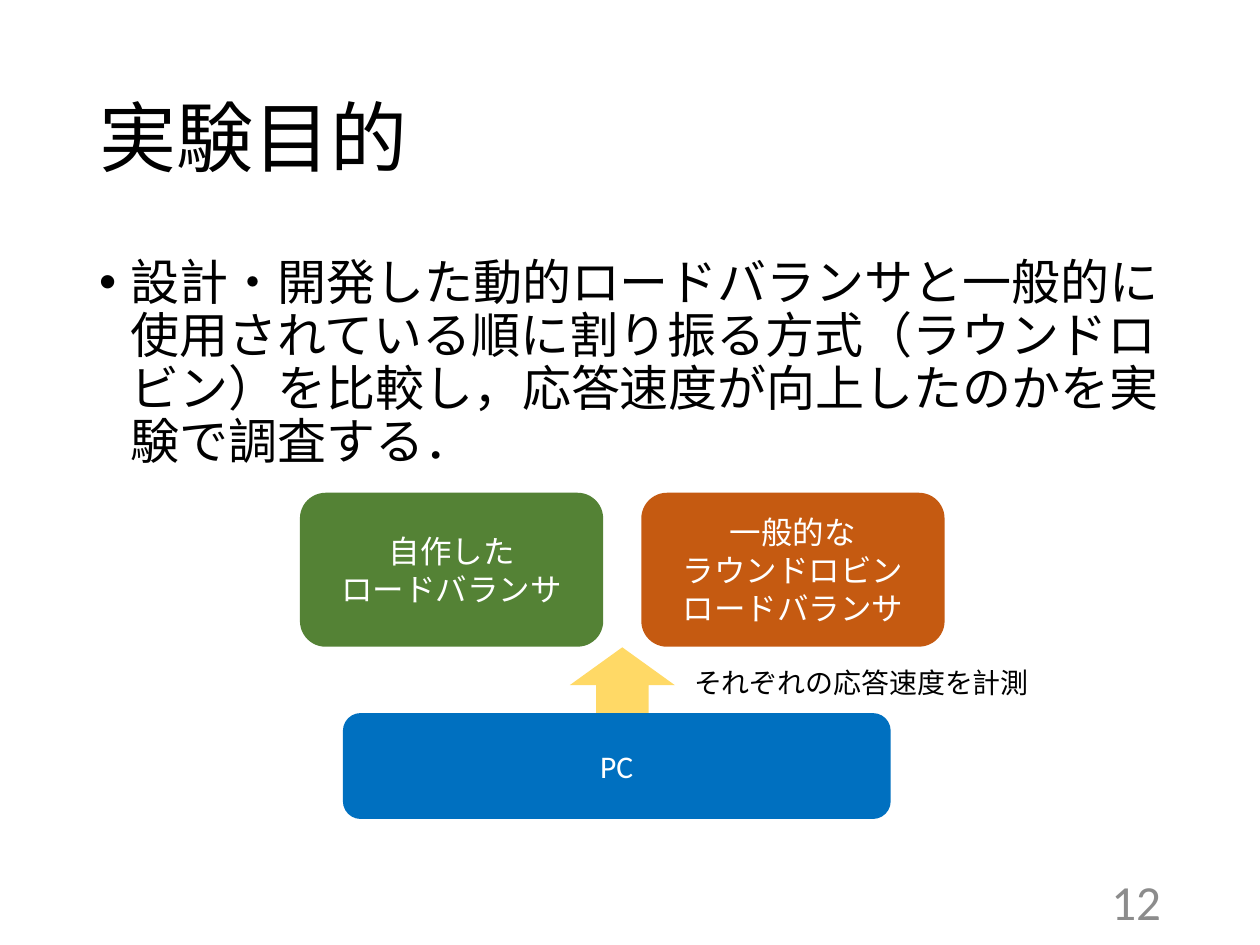
from dataclasses import dataclass

from pptx import Presentation
from pptx.dml.color import RGBColor
from pptx.enum import shapes, text
from pptx.oxml import parse_xml
from pptx.oxml.ns import nsdecls
from pptx.util import Pt

BLACK = RGBColor(0x00, 0x00, 0x00)
WHITE = RGBColor(0xFF, 0xFF, 0xFF)
GRAY = RGBColor(0x8C, 0x8C, 0x8C)
GREEN = RGBColor(0x54, 0x82, 0x35)
ORANGE = RGBColor(0xC5, 0x5A, 0x11)
BLUE = RGBColor(0x00, 0x70, 0xC0)
YELLOW = RGBColor(0xFF, 0xD9, 0x66)

FONT = "Calibri"
LEFT, CENTER, RIGHT = text.PP_ALIGN.LEFT, text.PP_ALIGN.CENTER, text.PP_ALIGN.RIGHT
TOP, MIDDLE = text.MSO_ANCHOR.TOP, text.MSO_ANCHOR.MIDDLE


@dataclass(frozen=True)
class Box:
    left: float
    top: float
    width: float
    height: float

    def lengths(self) -> tuple:
        return Pt(self.left), Pt(self.top), Pt(self.width), Pt(self.height)


@dataclass(frozen=True)
class Node:
    label: str
    box: Box
    color: RGBColor


MARGIN, CONTENT_WIDTH = 49.5, 621
BALANCER_LEFT, BALANCER_TOP, BALANCER_PITCH = 171.4, 281.6, 195.1
BALANCER_SIZE = (173.3, 88)

BALANCERS = [
    ("自作した\nロードバランサ", GREEN),
    ("一般的な\nラウンドロビン\nロードバランサ", ORANGE),
]
NODES = [
    Node(label, Box(BALANCER_LEFT + i * BALANCER_PITCH, BALANCER_TOP, *BALANCER_SIZE), color)
    for i, (label, color) in enumerate(BALANCERS)
] + [Node("PC", Box(196, 407.5, 313, 60.5), BLUE)]


def write(frame, content: str, size: float, color: RGBColor, align=LEFT, anchor=TOP):
    frame.word_wrap = True
    frame.auto_size = text.MSO_AUTO_SIZE.NONE
    frame.vertical_anchor = anchor
    paragraph = frame.paragraphs[0]
    paragraph.text = content.replace("\n", "\v")
    paragraph.alignment = align
    paragraph.font.name = FONT
    paragraph.font.size = Pt(size)
    paragraph.font.color.rgb = color
    return paragraph


def place(placeholder, box: Box) -> None:
    placeholder.left, placeholder.top, placeholder.width, placeholder.height = box.lengths()


def add_filled(slide, kind, box: Box, color: RGBColor):
    shape = slide.shapes.add_shape(kind, *box.lengths())
    shape.shadow.inherit = False
    shape.fill.solid()
    shape.fill.fore_color.rgb = color
    shape.line.fill.background()
    return shape


def add_node(slide, node: Node) -> None:
    shape = add_filled(slide, shapes.MSO_SHAPE.ROUNDED_RECTANGLE, node.box, node.color)
    write(shape.text_frame, node.label, 18, WHITE, CENTER, MIDDLE)


def add_label(slide, content: str, box: Box, size: float, color: RGBColor, align=LEFT, anchor=TOP) -> None:
    label = slide.shapes.add_textbox(*box.lengths())
    write(label.text_frame, content, size, color, align, anchor)


def main() -> None:
    deck = Presentation()
    deck.slide_width, deck.slide_height = Pt(720), Pt(540)
    slide = deck.slides.add_slide(deck.slide_layouts[1])

    title = slide.shapes.title
    place(title, Box(MARGIN, 28.8, CONTENT_WIDTH, 104.4))
    heading = write(title.text_frame, "実験目的", 44, BLACK, anchor=MIDDLE)
    heading.line_spacing = 0.9

    body = slide.placeholders[1]
    place(body, Box(MARGIN, 144, CONTENT_WIDTH, 138))
    purpose = write(
        body.text_frame,
        "設計・開発した動的ロードバランサと一般的に使用されている順に割り振る方式"
        "（ラウンドロビン）を比較し，応答速度が向上したのかを実験で調査する．",
        28,
        BLACK,
    )
    purpose.line_spacing = 0.9
    purpose.space_before = Pt(10)
    properties = purpose._p.get_or_add_pPr()
    properties.set("marL", str(Pt(18)))
    properties.set("indent", str(-Pt(18)))
    bullet = parse_xml(f'<a:buChar {nsdecls("a")} char="•"/>')
    properties.insert_element_before(bullet, "a:tabLst", "a:defRPr", "a:extLst")

    arrow = add_filled(slide, shapes.MSO_SHAPE.RIGHT_ARROW, Box(334, 361.5, 43.2, 60), YELLOW)
    arrow.rotation = 270
    for node in NODES:
        add_node(slide, node)
    add_label(slide, "それぞれの応答速度を計測", Box(389.5, 376.6, 245.5, 28.8), 16, BLACK)
    add_label(slide, "12", Box(508.5, 500.5, 162, 28.8), 28, GRAY, RIGHT, MIDDLE)

    deck.save("out.pptx")


if __name__ == "__main__":
    main()
